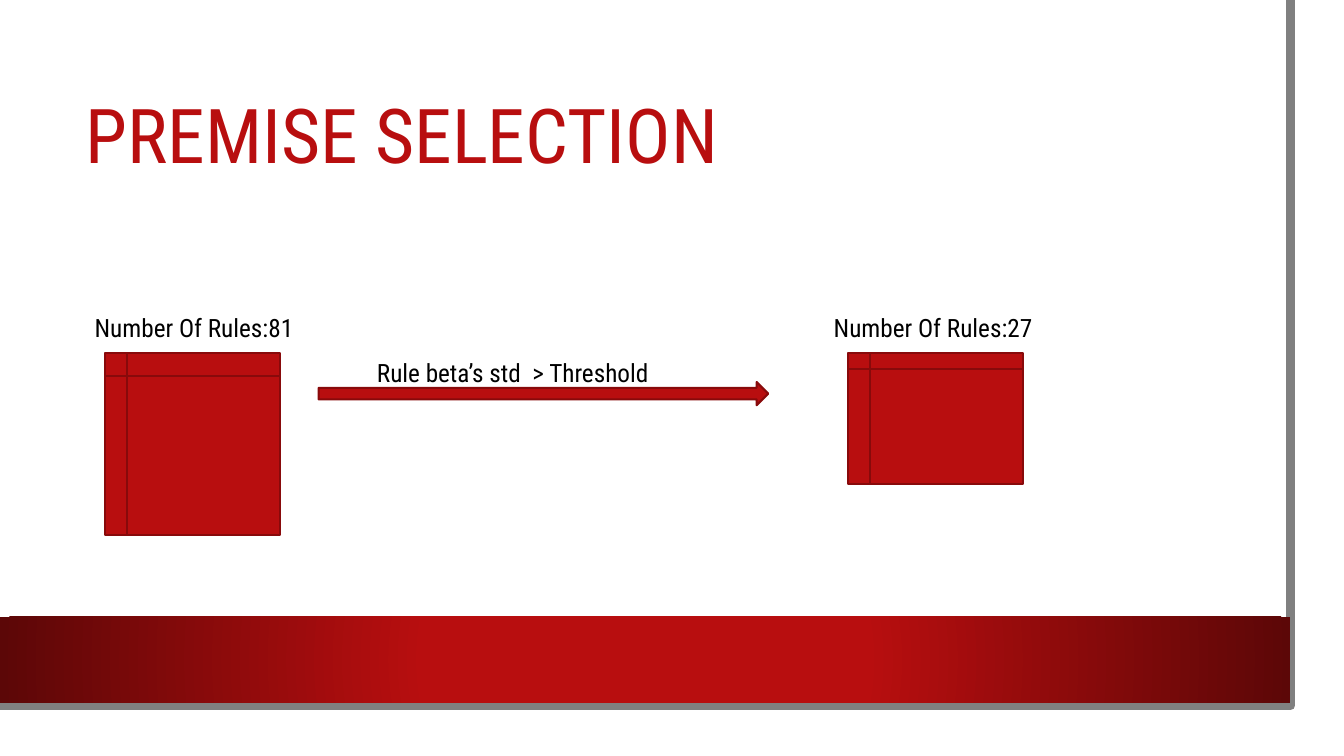
import dataclasses

import lxml.etree
import pptx
import pptx.dml.color
import pptx.enum.shapes
import pptx.enum.text
import pptx.oxml
import pptx.oxml.ns
import pptx.util

CELL = pptx.util.Inches(0.1)  # grid of 0.1 inch columns and rows
SHAPE = pptx.enum.shapes.MSO_SHAPE


@dataclasses.dataclass(frozen=True)
class Theme:
    font: str = "Roboto Condensed"
    red: str = "B80E0F"
    outline: str = "880A0B"
    dark: str = "5C0707"
    grey: str = "808080"
    black: str = "000000"
    title_size: float = 54
    label_size: float = 18
    outline_width: float = 1.5
    frame_width: float = 6.5


THEME = Theme()


def rgb(value):
    return pptx.dml.color.RGBColor.from_string(value)


def grid(*cells):
    return [pptx.util.Emu(round(c * CELL)) for c in cells]


def write(s, text, size, color):
    s.text_frame.text = text
    font = s.text_frame.paragraphs[0].runs[0].font
    font.name, font.size = THEME.font, pptx.util.Pt(size)
    font.color.rgb = rgb(color)


def add_block(sp, kind, col, row, cols, rows):
    s = sp.add_shape(kind, *grid(col, row, cols, rows))
    s.shadow.inherit = False
    s.fill.solid()
    s.fill.fore_color.rgb = rgb(THEME.red)
    s.line.color.rgb = rgb(THEME.outline)
    s.line.width = pptx.util.Pt(THEME.outline_width)
    return s


def add_label(sp, text, col, row, cols):
    s = sp.add_textbox(*grid(col, row, cols, 4))
    s.text_frame.word_wrap = False
    s.text_frame.auto_size = pptx.enum.text.MSO_AUTO_SIZE.SHAPE_TO_FIT_TEXT
    write(s, text, THEME.label_size, THEME.black)


def add_rule_set(sp, count, label_col, block_col, rows):
    add_label(sp, f"Number Of Rules:{count}", label_col, 30.5, 21.8)
    add_block(sp, SHAPE.FLOWCHART_INTERNAL_STORAGE, block_col, 35, 17.4, rows)


def add_frame(sp):
    """Draw the grey edge along the right and bottom of the slide."""
    builder = sp.build_freeform(128.2, 0, scale=CELL)
    builder.add_line_segments([(128.5, 70.2), (-0.3, 70.1)], close=False)
    s = builder.convert_to_shape()
    s.shadow.inherit = False
    s.fill.background()
    s.line.color.rgb = rgb(THEME.grey)
    s.line.width = pptx.util.Pt(THEME.frame_width)


def add_band(sp):
    """Draw the footer band, red in the centre and dark at both ends."""
    s = add_block(sp, SHAPE.RECTANGLE, 0, 61.2, 128, 8.5)
    s.line.fill.background()
    s.fill.gradient()
    grad = s._element.spPr.find(pptx.oxml.ns.qn("a:gradFill"))
    grad.getparent().replace(grad, pptx.oxml.parse_xml(
        f'<a:gradFill {pptx.oxml.ns.nsdecls("a")} rotWithShape="1"><a:gsLst>'
        f'<a:gs pos="34000"><a:srgbClr val="{THEME.red}"/></a:gs>'
        f'<a:gs pos="100000"><a:srgbClr val="{THEME.dark}"/></a:gs></a:gsLst>'
        '<a:path path="circle">'
        '<a:fillToRect l="50000" t="50000" r="50000" b="50000"/>'
        '</a:path></a:gradFill>'))


def set_title(s, text):
    s.left, s.top, s.width, s.height = grid(7.5, 7.5, 113.7, 12.6)
    write(s, text, THEME.title_size, THEME.red)
    s.text_frame.vertical_anchor = pptx.enum.text.MSO_ANCHOR.MIDDLE
    p = s.text_frame.paragraphs[0]
    p.alignment = pptx.enum.text.PP_ALIGN.LEFT
    p.line_spacing = 0.9


def main():
    prs = pptx.Presentation()
    prs.slide_width = pptx.util.Inches(13.33)
    prs.slide_height = pptx.util.Inches(7.5)
    slide = prs.slides.add_slide(prs.slide_layouts[5])
    sp = slide.shapes
    add_frame(sp)
    add_band(sp)
    set_title(sp.title, "PREMISE SELECTION")
    add_rule_set(sp, 81, label_col=8.4, block_col=10.4, rows=18.1)
    add_block(sp, SHAPE.RIGHT_ARROW, 31.6, 37.9, 44.6, 2.3)
    add_label(sp, "Rule beta’s std  > Threshold", 36.4, 35, 30.3)
    add_rule_set(sp, 27, label_col=81.7, block_col=84.1, rows=13)
    prs.save("out.pptx")


if __name__ == "__main__":
    main()
